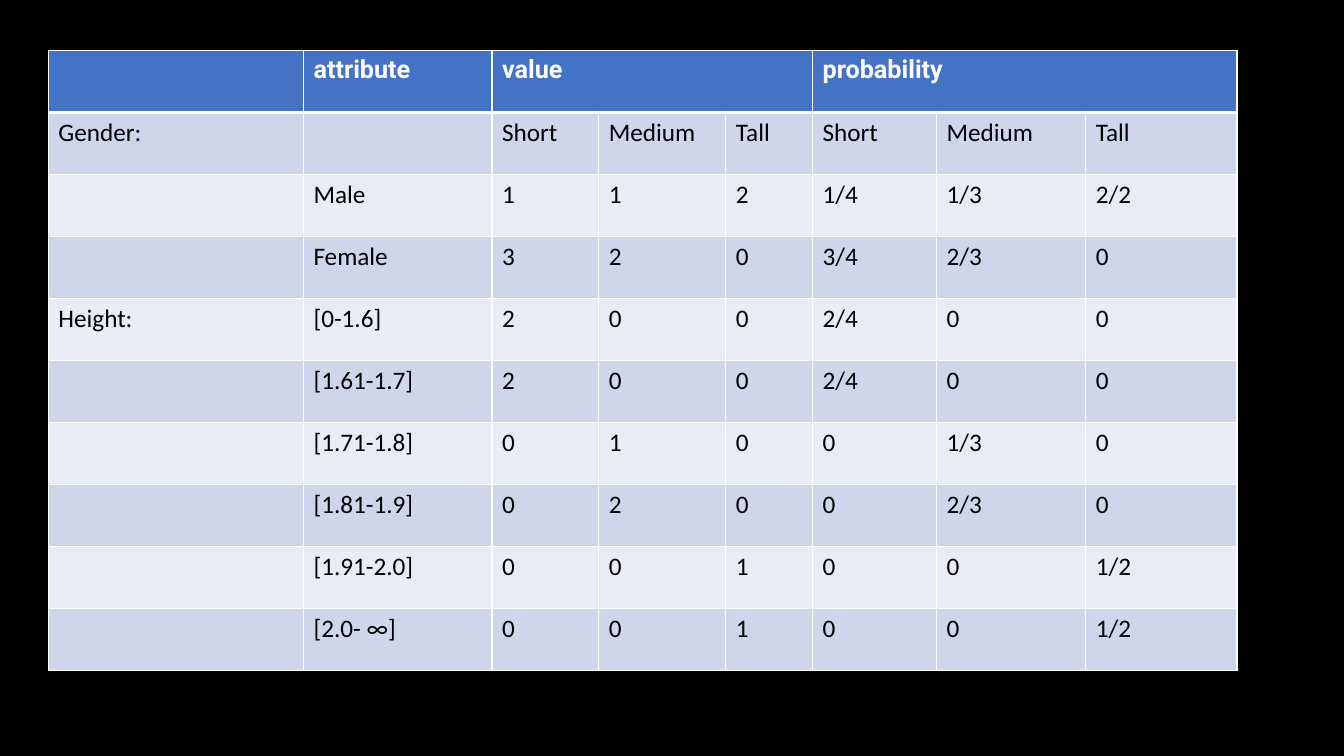
import dataclasses

import pptx
import pptx.dml.color
import pptx.oxml
import pptx.oxml.ns
import pptx.util


@dataclasses.dataclass(frozen=True)
class Theme:
    background: str = "000000"
    header_fill: str = "4472C4"
    bands: tuple = ("CFD5EA", "E9EBF5")
    header_text: str = "FFFFFF"
    body_text: str = "000000"
    border: str = "FFFFFF"
    header_font: str = "Roboto"
    body_font: str = "Calibri"
    size: int = 18
    thin: int = 1
    thick: int = 3


HEADER = ["", "attribute", "value", "", "", "probability", "", ""]
HEADER_SPANS = [(2, 4), (5, 7)]
BODY = [
    ["Gender:", "", "Short", "Medium", "Tall", "Short", "Medium", "Tall"],
    ["", "Male", "1", "1", "2", "1/4", "1/3", "2/2"],
    ["", "Female", "3", "2", "0", "3/4", "2/3", "0"],
    ["Height:", "[0-1.6]", "2", "0", "0", "2/4", "0", "0"],
    ["", "[1.61-1.7]", "2", "0", "0", "2/4", "0", "0"],
    ["", "[1.71-1.8]", "0", "1", "0", "0", "1/3", "0"],
    ["", "[1.81-1.9]", "0", "2", "0", "0", "2/3", "0"],
    ["", "[1.91-2.0]", "0", "0", "1", "0", "0", "1/2"],
    ["", "[2.0- ∞]", "0", "0", "1", "0", "0", "1/2"],
]
COLUMN_WIDTHS = [2.53, 1.87, 1.06, 1.26, 0.86, 1.23, 1.48, 1.5]


def rgb(value):
    return pptx.dml.color.RGBColor.from_string(value)


class SlideBuilder:
    def __init__(self, prs, theme):
        self.theme = theme
        self.s = prs.slides.add_slide(prs.slide_layouts[6])
        self.fill(self.s.background, theme.background)

    def fill(self, target, color):
        target.fill.solid()
        target.fill.fore_color.rgb = rgb(color)

    def borders(self, cell, widths):
        tc_pr = cell._tc.get_or_add_tcPr()
        for side, width in widths.items():
            tc_pr.append(pptx.oxml.parse_xml(
                f'<a:ln{side} {pptx.oxml.ns.nsdecls("a")} w="{pptx.util.Pt(width)}">'
                f'<a:solidFill><a:srgbClr val="{self.theme.border}"/></a:solidFill>'
                f'</a:ln{side}>'))

    def text(self, cell, text, formats, color):
        p = cell.text_frame.paragraphs[0]
        font = p.font
        if text:
            r = p.add_run()
            r.text = text
            font = r.font
        for name, value in formats.items():
            setattr(font, name, value)
        font.color.rgb = rgb(color)

    def table(self, left, top, height, widths, header, spans, body):
        t = self.theme
        rows = [header] + body
        sp = self.s.shapes.add_table(
            len(rows), len(widths), pptx.util.Inches(left), pptx.util.Inches(top),
            pptx.util.Inches(sum(widths)), pptx.util.Inches(height))
        table = sp.table
        for column, width in zip(table.columns, widths):
            column.width = pptx.util.Inches(width)
        for first, last in spans:
            table.cell(0, first).merge(table.cell(0, last))
        for i, row in enumerate(rows):
            is_header = i == 0
            formats = {
                "name": t.header_font if is_header else t.body_font,
                "size": pptx.util.Pt(t.size),
                "bold": is_header,
            }
            color = t.header_text if is_header else t.body_text
            fill = t.header_fill if is_header else t.bands[(i - 1) % 2]
            edges = {"L": t.thin, "R": t.thin,
                     "T": t.thick if i == 1 else t.thin,
                     "B": t.thick if is_header else t.thin}
            for j, text in enumerate(row):
                cell = table.cell(i, j)
                self.borders(cell, edges)
                self.fill(cell, fill)
                self.text(cell, text, formats, color)


def main():
    prs = pptx.Presentation()
    prs.slide_width = pptx.util.Inches(13.33)
    prs.slide_height = pptx.util.Inches(7.5)
    builder = SlideBuilder(prs, Theme())
    builder.table(0.48, 0.5, 6.15, COLUMN_WIDTHS, HEADER, HEADER_SPANS, BODY)
    prs.save("out.pptx")


if __name__ == "__main__":
    main()
